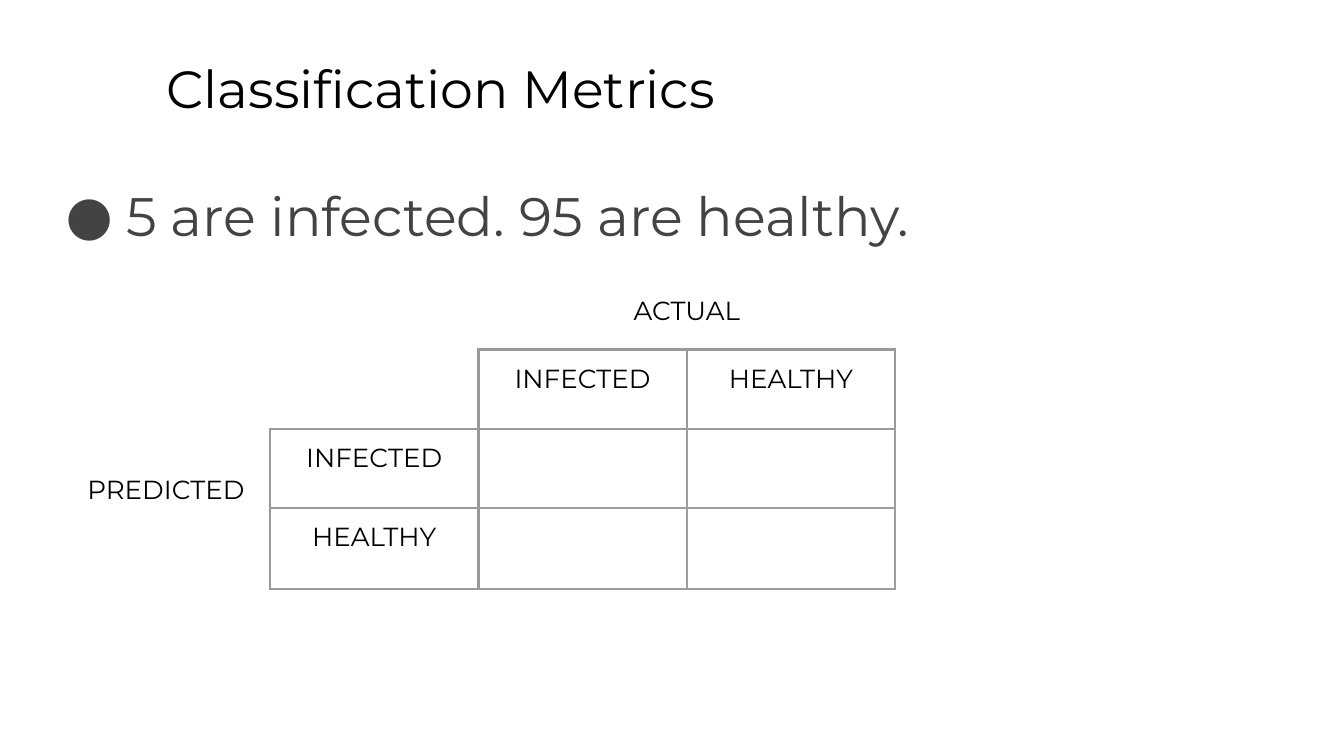
from dataclasses import dataclass
from typing import Any

from lxml import etree
from pptx import Presentation
from pptx.dml.color import RGBColor
from pptx.enum import text
from pptx.oxml import ns
from pptx import util as u


@dataclass(frozen=True)
class Theme:
    font: str = "Montserrat"
    ink: str = "000000"
    body: str = "434343"
    header_line: str = "999999"
    value_line: str = "9E9E9E"
    title_size: float = 28
    body_size: float = 29
    label_size: float = 14
    line_width: float = 1.5
    inset: float = 7.2


@dataclass(frozen=True)
class Box:
    left: float
    top: float
    width: float
    height: float


@dataclass(frozen=True)
class Label:
    row: int
    column: int
    words: str
    rows: int = 1
    columns: int = 1
    top_inset: float = 7.2


THEME = Theme()
COLUMN_WIDTHS = [111.6] * 4
ROW_HEIGHTS = [31.2, 42.5, 42.5, 43.2]
LABELS = [
    Label(0, 2, "ACTUAL", columns=2),
    Label(1, 2, "INFECTED"),
    Label(1, 3, "HEALTHY"),
    Label(2, 0, "PREDICTED", rows=2, top_inset=24.3),
    Label(2, 1, "INFECTED"),
    Label(3, 1, "HEALTHY"),
]
HEADERS = {(1, 2), (1, 3), (2, 1), (3, 1)}
VALUES = {(2, 2), (2, 3), (3, 2), (3, 3)}
SIDES = {"lnL": (0, -1), "lnR": (0, 1), "lnT": (-1, 0), "lnB": (1, 0)}


def add_span(para: Any, words: str, size: float, color: str) -> None:
    span = para.add_run()
    span.text = words
    span.font.name = THEME.font
    span.font.size = u.Pt(size)
    span.font.color.rgb = RGBColor.from_string(color)


def add_text(page: Any, box: Box, words: str, size: float, color: str) -> Any:
    shape = page.shapes.add_textbox(
        u.Pt(box.left), u.Pt(box.top), u.Pt(box.width), u.Pt(box.height))
    frame = shape.text_frame
    frame.word_wrap = True
    frame.vertical_anchor = text.MSO_ANCHOR.TOP
    frame.margin_left = frame.margin_right = u.Pt(THEME.inset)
    frame.margin_top = frame.margin_bottom = u.Pt(THEME.inset)
    add_span(frame.paragraphs[0], words, size, color)
    return frame.paragraphs[0]


def add_bullet(para: Any, indent: float, hanging: float, color: str) -> None:
    properties = para._p.get_or_add_pPr()
    properties.set("marL", str(u.Pt(indent)))
    properties.set("indent", str(-u.Pt(hanging)))
    bullet_color = etree.SubElement(properties, ns.qn("a:buClr"))
    etree.SubElement(bullet_color, ns.qn("a:srgbClr"), val=color)
    etree.SubElement(properties, ns.qn("a:buFont"), typeface=THEME.font)
    etree.SubElement(properties, ns.qn("a:buChar"), char="●")


def set_borders(cell: Any, row: int, column: int) -> None:
    properties = cell._tc.get_or_add_tcPr()
    for side, (down, across) in SIDES.items():
        touching = {(row, column), (row + down, column + across)}
        line = etree.SubElement(properties, ns.qn(f"a:{side}"),
                                w=str(u.Pt(THEME.line_width)))
        if touching & (HEADERS | VALUES):
            color = THEME.header_line if touching & HEADERS else THEME.value_line
            fill = etree.SubElement(line, ns.qn("a:solidFill"))
            etree.SubElement(fill, ns.qn("a:srgbClr"), val=color)
        else:
            etree.SubElement(line, ns.qn("a:noFill"))


def add_label(table: Any, label: Label) -> None:
    cell = table.cell(label.row, label.column)
    if label.rows > 1 or label.columns > 1:
        cell.merge(table.cell(label.row + label.rows - 1,
                              label.column + label.columns - 1))
    cell.margin_top = u.Pt(label.top_inset)
    para = cell.text_frame.paragraphs[0]
    para.alignment = text.PP_ALIGN.CENTER
    add_span(para, label.words, THEME.label_size, THEME.ink)


def add_matrix(page: Any, left: float, top: float) -> None:
    table = page.shapes.add_table(
        len(ROW_HEIGHTS), len(COLUMN_WIDTHS), u.Pt(left), u.Pt(top),
        u.Pt(sum(COLUMN_WIDTHS)), u.Pt(sum(ROW_HEIGHTS))).table
    table.first_row = table.horz_banding = False
    for column, width in zip(table.columns, COLUMN_WIDTHS):
        column.width = u.Pt(width)
    for row, height in zip(table.rows, ROW_HEIGHTS):
        row.height = u.Pt(height)
    for row in range(len(ROW_HEIGHTS)):
        for column in range(len(COLUMN_WIDTHS)):
            cell = table.cell(row, column)
            cell.margin_left = cell.margin_right = u.Pt(THEME.inset)
            cell.margin_top = cell.margin_bottom = u.Pt(THEME.inset)
            set_borders(cell, row, column)
            cell.fill.background()
    for label in LABELS:
        add_label(table, label)


def main() -> None:
    deck = Presentation()
    deck.slide_width, deck.slide_height = u.Pt(720), u.Pt(405)
    page = deck.slides.add_slide(deck.slide_layouts[6])
    add_text(page, Box(82, 23, 613.4, 45.4), "Classification Metrics",
             THEME.title_size, THEME.ink)
    statement = add_text(page, Box(24.5, 90.7, 684, 269.3),
                         "5 are infected. 95 are healthy.",
                         THEME.body_size, THEME.body)
    add_bullet(statement, 36, 32.4, THEME.body)
    add_matrix(page, 33.1, 151.2)
    deck.save("out.pptx")


if __name__ == "__main__":
    main()
